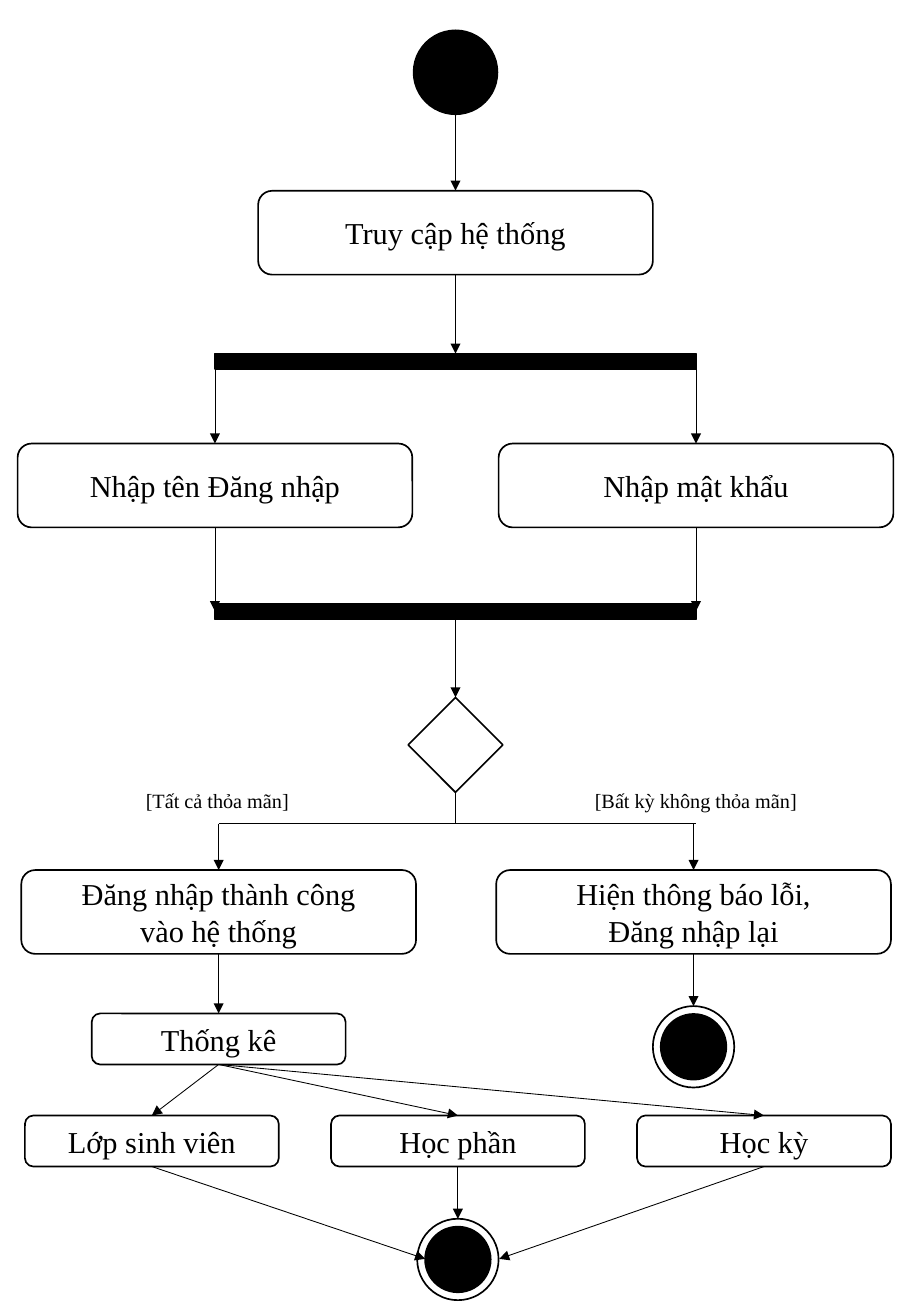
from lxml.etree import SubElement
from pptx import Presentation
from pptx.dml.color import RGBColor
from pptx.enum.shapes import MSO_CONNECTOR, MSO_SHAPE
from pptx.enum.text import MSO_ANCHOR, PP_ALIGN
from pptx.oxml.ns import qn
from pptx.util import Inches, Pt

BLACK = RGBColor(0, 0, 0)
WHITE = RGBColor(255, 255, 255)
FONT = "Times New Roman"
WIDE, HIGH = 7.5, 10.83
MID = WIDE / 2
SPAN = 1.98
LEFT, RIGHT = MID - SPAN, MID + SPAN
YES, NO = 1.8, 5.71
COLS = [1.25 + 2.52 * i for i in range(3)]
BOX = 3.25, 0.69
SMALL = 2.09, 0.42
BAR = 2 * SPAN, 0.13
RING, DOT = 0.67, 0.54


def write(frame, lines, size):
    frame.word_wrap = True
    for i, line in enumerate(lines):
        para = frame.paragraphs[0] if i == 0 else frame.add_paragraph()
        para.alignment = PP_ALIGN.CENTER
        run = para.add_run()
        run.text = line
        run.font.name = FONT
        run.font.size = Pt(size)
        run.font.color.rgb = BLACK


def node(shapes, kind, mid, top, size, fill=BLACK):
    wide, high = size
    shape = shapes.add_shape(kind, Inches(mid - wide / 2), Inches(top),
                             Inches(wide), Inches(high))
    shape.shadow.inherit = False
    shape.fill.solid()
    shape.fill.fore_color.rgb = fill
    shape.line.color.rgb = BLACK
    shape.line.width = Pt(1)
    return shape


def step(shapes, mid, top, lines, size=BOX):
    shape = node(shapes, MSO_SHAPE.ROUNDED_RECTANGLE, mid, top, size, WHITE)
    shape.text_frame.vertical_anchor = MSO_ANCHOR.MIDDLE
    write(shape.text_frame, lines, 18)


def final(shapes, mid, top):
    group = shapes.add_group_shape()
    node(group.shapes, MSO_SHAPE.OVAL, mid, top, (RING, RING), WHITE)
    node(group.shapes, MSO_SHAPE.OVAL, mid, top + (RING - DOT) / 2, (DOT, DOT))


def label(shapes, mid, top, text):
    wide = 2.12
    box = shapes.add_textbox(Inches(mid - wide / 2), Inches(top),
                             Inches(wide), Inches(0.3))
    write(box.text_frame, [text], 12)


def link(shapes, x1, y1, x2, y2, arrow=True):
    line = shapes.add_connector(MSO_CONNECTOR.STRAIGHT, Inches(x1), Inches(y1),
                                Inches(x2), Inches(y2))
    line.line.color.rgb = BLACK
    line.line.width = Pt(0.5)
    props = line._element.spPr
    if arrow:
        SubElement(props.find(qn("a:ln")), qn("a:tailEnd"), type="triangle")
    SubElement(props, qn("a:effectLst"))


def login(shapes):
    node(shapes, MSO_SHAPE.OVAL, MID, 0.25, (0.69, 0.69))
    step(shapes, MID, 1.57, ["Truy cập hệ thống"])
    for top in (2.91, 4.97):
        node(shapes, MSO_SHAPE.RECTANGLE, MID, top, BAR)
    for mid, text in ((LEFT, "Nhập tên Đăng nhập"), (RIGHT, "Nhập mật khẩu")):
        step(shapes, mid, 3.65, [text])
        link(shapes, mid, 2.98, mid, 3.65)
        link(shapes, mid, 4.34, mid, 5.03)
    for top, end in ((0.94, 1.57), (2.26, 2.91), (5.1, 5.74)):
        link(shapes, MID, top, MID, end)


def choice(shapes):
    node(shapes, MSO_SHAPE.DIAMOND, MID, 5.74, (0.78, 0.78), WHITE)
    link(shapes, MID, 6.52, MID, 6.78, False)
    link(shapes, YES, 6.78, RIGHT, 6.78, False)
    label(shapes, 1.79, 6.44, "[Tất cả thỏa mãn]")
    label(shapes, 5.73, 6.44, "[Bất kỳ không thỏa mãn]")
    for mid, lines, end in (
        (YES, ["Đăng nhập thành công", "vào hệ thống"], 8.34),
        (NO, ["Hiện thông báo lỗi,", "Đăng nhập lại"], 8.28),
    ):
        step(shapes, mid, 7.16, lines)
        link(shapes, mid, 6.78, mid, 7.16)
        link(shapes, mid, 7.85, mid, end)
    final(shapes, NO, 8.28)


def stats(shapes):
    step(shapes, YES, 8.34, ["Thống kê"], SMALL)
    final(shapes, COLS[1], 10.03)
    goals = (3.5, 10.36), (COLS[1], 10.03), (4.11, 10.36)
    names = "Lớp sinh viên", "Học phần", "Học kỳ"
    for mid, name, goal in zip(COLS, names, goals):
        step(shapes, mid, 9.18, [name], SMALL)
        link(shapes, YES, 8.76, mid, 9.18)
        link(shapes, mid, 9.6, *goal)


def main():
    deck = Presentation()
    deck.slide_width = Inches(WIDE)
    deck.slide_height = Inches(HIGH)
    shapes = deck.slides.add_slide(deck.slide_layouts[6]).shapes
    login(shapes)
    choice(shapes)
    stats(shapes)
    deck.save("out.pptx")


if __name__ == "__main__":
    main()
